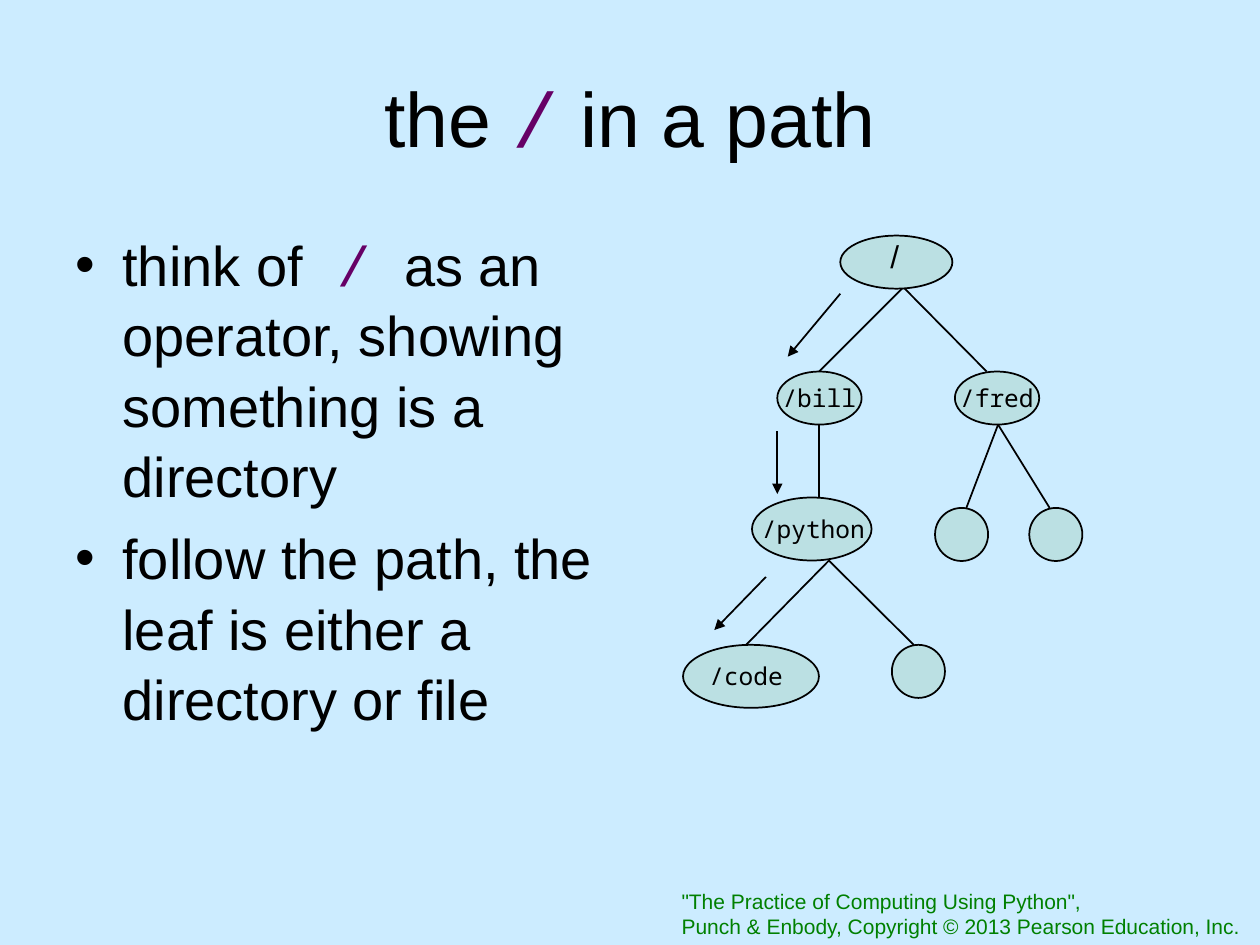
from pptx import Presentation, util as u
from pptx.dml import color
from pptx.enum import shapes, text
from pptx.oxml import xmlchemy
from pptx.oxml.ns import qn
from lxml import etree

THEME = {
    "bg": color.RGBColor.from_string("CCECFF"),
    "node": color.RGBColor.from_string("BBE0E3"),
    "ink": color.RGBColor.from_string("000000"),
    "slash": color.RGBColor.from_string("660066"),
    "credit": color.RGBColor.from_string("008000"),
    "sans": "Arial", "code": "Courier New", "mono": "Noto Sans Mono",
    "title": u.Pt(44), "body": u.Pt(32), "root": u.Pt(18),
    "label": u.Pt(14), "small": u.Pt(12), "line": u.Pt(1),
}


def write(p, content, size, font="sans", ink="ink"):
    r = p.add_run()
    r.text = content
    for name, value in {"size": THEME[size], "name": THEME[font]}.items():
        setattr(r.font, name, value)
    r.font.color.rgb = THEME[ink]


def box(s, x, y, w, h, **fmt):
    tf = s.shapes.add_textbox(u.Cm(x), u.Cm(y), u.Cm(w), u.Cm(h)).text_frame
    for name, value in {"word_wrap": True, **fmt}.items():
        setattr(tf, name, value)
    return tf


prs = Presentation()
prs.slide_width, prs.slide_height = u.Cm(25.4), u.Cm(19.05)
s = prs.slides.add_slide(prs.slide_layouts[6])
s.background.fill.solid()
s.background.fill.fore_color.rgb = THEME["bg"]

tf = box(s, 13.49, 17.78, 11.89, 1.27, word_wrap=False)
credit = ['"The Practice of Computing Using Python",',
          "Punch & Enbody, Copyright © 2013 Pearson Education, Inc."]
for i, line in enumerate(credit):
    p = tf.add_paragraph() if i else tf.paragraphs[0]
    write(p, line, "small", ink="credit")

tf = box(s, 1.27, 0.76, 22.86, 3.18, vertical_anchor=text.MSO_ANCHOR.MIDDLE)
p = tf.paragraphs[0]
p.alignment = text.PP_ALIGN.CENTER
write(p, "the ", "title")
write(p, "/", "title", "code", "slash")
write(p, " in a path", "title")

tf = box(s, 1.27, 4.45, 11.86, 12.57)
bullets = [
    [("think of",), (" / ", "code", "slash"),
     ("as an operator, showing something is a directory",)],
    [("follow the path, the leaf is either a directory or file",)],
]
for i, parts in enumerate(bullets):
    p = tf.add_paragraph() if i else tf.paragraphs[0]
    pPr = p._p.get_or_add_pPr()
    pPr.set("marL", str(u.Cm(0.95)))
    pPr.set("indent", str(u.Cm(-0.95)))
    etree.SubElement(pPr, qn("a:buFont")).set("typeface", THEME["sans"])
    etree.SubElement(pPr, qn("a:buChar")).set("char", "•")
    p.line_spacing = 1.05
    if i:
        p.space_before = u.Pt(6.4)
    for content, *style in parts:
        write(p, content, "body", *style)

edges = [
    (18.21, 5.79, 16.51, 7.49), (18.21, 5.79, 19.89, 7.49),
    (16.51, 8.56, 16.51, 10.03),
    (20.12, 8.56, 19.48, 10.24), (20.12, 8.56, 21.16, 10.24),
    (16.71, 11.3, 15.04, 13), (16.71, 11.3, 18.42, 13),
]
arrows = [
    (16.94, 5.92, 15.88, 7.19),
    (15.67, 8.69, 15.67, 9.96),
    (15.44, 11.63, 14.4, 12.7),
]
for ends in edges + arrows:
    sp = s.shapes.add_connector(shapes.MSO_CONNECTOR.STRAIGHT, *map(u.Cm, ends))
    sp.line.color.rgb = THEME["ink"]
    sp.line.width = THEME["line"]
    if ends in arrows:
        etree.SubElement(sp.line._get_or_add_ln(), qn("a:tailEnd")).set("type", "triangle")
    etree.SubElement(sp._element.spPr, qn("a:effectLst"))

nodes = [
    (16.94, 4.75, 2.26, 1.07, ""),
    (15.67, 7.49, 1.7, 1.07, "/bill"), (19.25, 7.49, 1.7, 1.07, "/fred"),
    (15.16, 10.03, 2.41, 1.27, ""),
    (18.85, 10.24, 1.07, 1.07, ""), (20.75, 10.24, 1.07, 1.07, ""),
    (13.77, 13, 2.74, 1.27, ""), (17.98, 13, 1.07, 1.07, ""),
]
for *place, name in nodes:
    sp = s.shapes.add_shape(shapes.MSO_SHAPE.OVAL, *map(u.Cm, place))
    sp.shadow.inherit = False
    sp.fill.solid()
    sp.fill.fore_color.rgb = THEME["node"]
    sp.line.color.rgb = THEME["ink"]
    sp.line.width = THEME["line"]
    if name:
        tf = sp.text_frame
        tf.word_wrap = False
        tf.vertical_anchor = text.MSO_ANCHOR.MIDDLE
        tf.paragraphs[0].alignment = text.PP_ALIGN.CENTER
        write(tf.paragraphs[0], name, "label", "mono")

labels = [
    (17.7, 4.65, 0.69, 1.02, "/", "root", "sans"),
    (15.11, 10.24, 2.87, 0.84, "/python", "label", "mono"),
    (14.05, 13.21, 2.87, 0.84, "/code", "label", "mono"),
]
for *place, name, size, font in labels:
    tf = box(s, *place, word_wrap=size == "label")
    write(tf.paragraphs[0], name, size, font)

prs.save("out.pptx")
